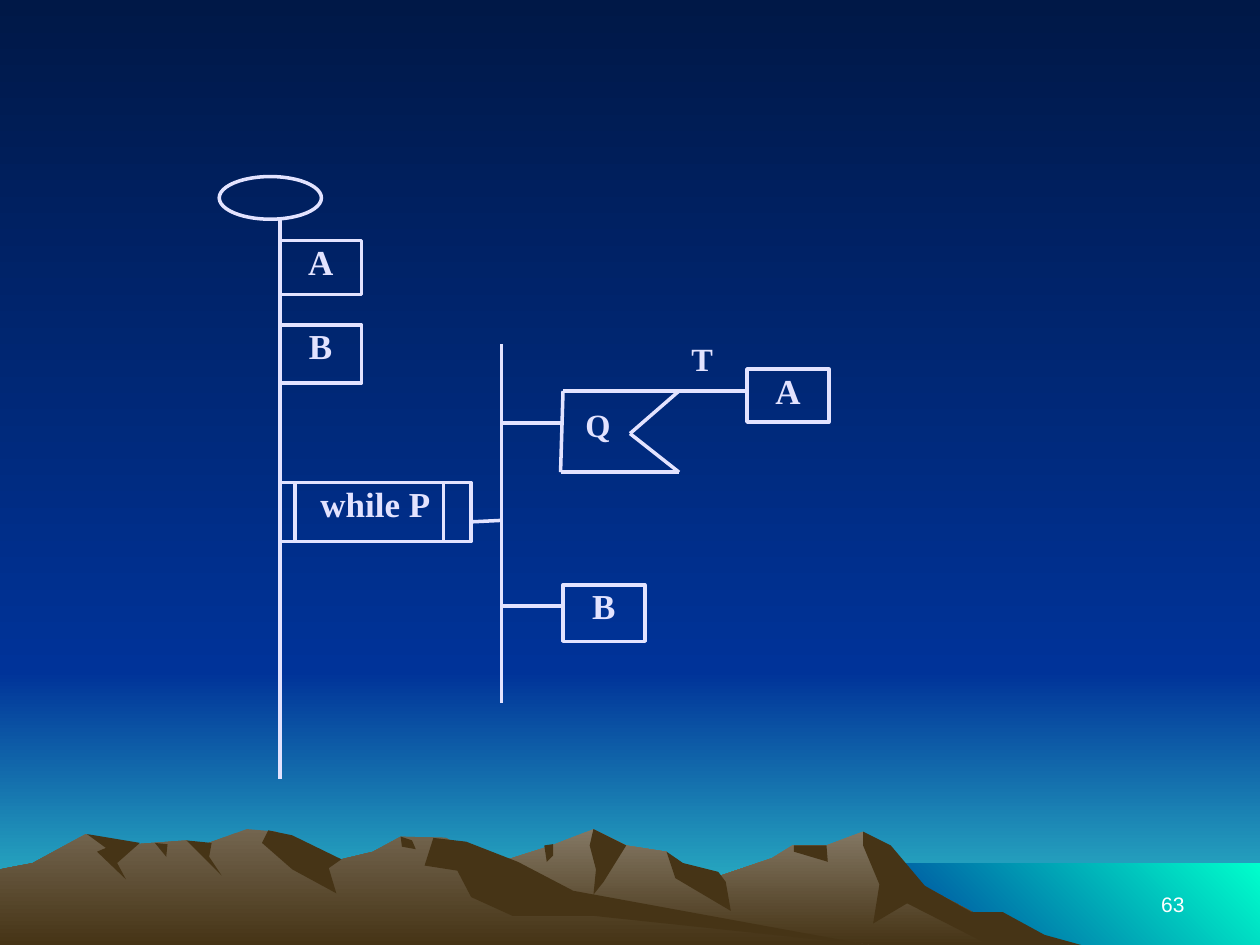
from itertools import pairwise

from lxml import etree
from pptx import Presentation
from pptx.dml.color import RGBColor
from pptx.enum.shapes import MSO_CONNECTOR, MSO_SHAPE
from pptx.enum.text import MSO_ANCHOR, PP_ALIGN
from pptx.oxml.ns import qn
from pptx.util import Cm, Pt

RECT, OVAL = MSO_SHAPE.RECTANGLE, MSO_SHAPE.OVAL
LINE = MSO_CONNECTOR.STRAIGHT
TOP, BASE = MSO_ANCHOR.TOP, MSO_ANCHOR.BOTTOM
MID, RIGHT = PP_ALIGN.CENTER, PP_ALIGN.RIGHT

THEME = {
    "ink": "E3E3FF", "white": "FFFFFF", "shade": "463416",
    "sky": ("001847", "003399"), "haze": ("003399", "33CCCC"),
    "sea": ("003399", "00FFCC"),
    "far": ("847864", "463416"), "near": ("73654F", "463416"),
    "serif": "Times New Roman", "sans": "Arial",
    "big": 20, "mid": 18.5, "small": 12, "line": 2,
}


def paint(fill, color, angle=270):
    """Fill with one colour, or with a gradient when given a pair."""
    if isinstance(color, str):
        fill.solid()
        fill.fore_color.rgb = RGBColor.from_string(color)
        return
    fill.gradient()
    fill.gradient_angle = angle
    for stop, tone in zip(fill.gradient_stops, color):
        stop.color.rgb = RGBColor.from_string(tone)


def write(shape, text, size=THEME["big"], font=THEME["serif"], color=THEME["ink"],
          bold=True, align=MID, anchor=TOP, pad=(0, 0.03), space=1.0):
    frame = shape.text_frame
    frame.word_wrap = True
    frame.vertical_anchor = anchor
    frame.margin_left = frame.margin_right = Cm(0.25)
    frame.margin_top, frame.margin_bottom = Cm(pad[0]), Cm(pad[1])
    par = frame.paragraphs[0]
    par.alignment, par.line_spacing = align, space
    run = par.add_run()
    run.text = text
    run.font.name, run.font.size, run.font.bold = font, Pt(size), bold
    run.font.color.rgb = RGBColor.from_string(color)


WIDTH, HEIGHT, EDGE = 25.4, 19.05, 13.54
prs = Presentation()
prs.slide_width, prs.slide_height = Cm(WIDTH), Cm(HEIGHT)
slide = prs.slides.add_slide(prs.slide_layouts[6])
shapes = slide.shapes
ink = RGBColor.from_string(THEME["ink"])

# Sky, haze and sea
paint(slide.background.fill, THEME["sky"])
for x, y, end, tone, angle in [
    (0, EDGE, HEIGHT, "haze", 270),
    (0, 0, EDGE, "sky", 270),
    (17.35, 17.4, HEIGHT, "sea", 45),
]:
    band = shapes.add_shape(RECT, Cm(x), Cm(y), Cm(WIDTH - x), Cm(end - y))
    band.shadow.inherit = False
    band.line.fill.background()
    paint(band.fill, THEME[tone], angle)

# Mountains, back to front, on a grid of 0.0254 cm
HILLS = [
    ("far", [(258, 750), (394, 685), (438, 671), (471, 658), (497, 671), (529, 676),
             (536, 690), (566, 697), (613, 681), (629, 671), (656, 671), (685, 660),
             (723, 698), (821, 750)]),
    ("shade", [(685, 660), (707, 671), (734, 703), (771, 724), (796, 724), (829, 742),
               (858, 750), (785, 750), (720, 717), (693, 733), (698, 702), (685, 671)]),
    ("shade", [(471, 658), (497, 671), (479, 700), (471, 710), (473, 690), (468, 671)]),
    ("shade", [(529, 676), (542, 685), (570, 692), (576, 700), (580, 723), (536, 697)]),
    ("shade", [(630, 671), (656, 671), (657, 684), (630, 676)]),
    ("shade", [(432, 671), (439, 670), (439, 679), (434, 684)]),
    ("near", [(0, 750), (0, 690), (26, 685), (68, 662), (94, 671), (148, 667),
              (160, 671), (196, 658), (219, 660), (236, 681), (271, 682), (296, 676),
              (318, 664), (354, 665), (432, 712), (690, 750)]),
    ("shade", [(213, 659), (232, 663), (271, 682), (261, 689), (267, 709), (232, 690),
               (208, 669)]),
    ("shade", [(344, 665), (370, 668), (411, 684), (455, 707), (690, 750), (472, 727),
               (407, 727), (374, 712), (363, 691), (337, 687)]),
    ("shade", [(318, 664), (327, 667), (330, 674), (319, 672)]),
    ("shade", [(148, 667), (168, 669), (166, 680), (176, 695)]),
    ("shade", [(123, 669), (133, 670), (132, 680)]),
    ("shade", [(69, 662), (111, 669), (93, 685), (100, 698), (77, 676), (84, 673)]),
]
for tone, points in HILLS:
    path = shapes.build_freeform(*points[0], scale=Cm(0.0254))
    path.add_line_segments(points[1:], close=True)
    hill = path.convert_to_shape()
    hill.shadow.inherit = False
    hill.line.fill.background()
    paint(hill.fill, THEME[tone])

# Start node and step boxes
STEM, BAR, NEXT, LAST = 5.64, 10.11, 11.35, 15.06
WIDE, LOOP, DEEP = 1.65, 9.73, 1.19
for kind, x, y, w, h, text in [
    (OVAL, 4.42, 3.56, 2.06, 0.86, ""),
    (RECT, STEM, 4.85, WIDE, 1.09, "A"),
    (RECT, STEM, 6.55, WIDE, 1.17, "B"),
    (RECT, STEM, LOOP, 3.86, DEEP, "while P"),
    (RECT, NEXT, 11.79, WIDE, 1.14, "B"),
    (RECT, LAST, 7.44, WIDE, 1.07, "A"),
]:
    box = shapes.add_shape(kind, Cm(x), Cm(y), Cm(w), Cm(h))
    box.shadow.inherit = False
    box.fill.background()
    box.line.color.rgb, box.line.width = ink, Pt(THEME["line"])
    if text:
        write(box, text)

# Lines of the chart: stems, loop bars, branches and the notched test box
TEST, FORK, FOOT = 7.88, 13.69, 9.52
runs = [
    [(STEM, 4.42), (STEM, 15.7)],
    [(BAR, 6.93), (BAR, 14.17)],
    [(9.5, 10.52), (BAR, 10.49)],
    [(LAST, TEST), (FORK, TEST), (NEXT, TEST), (11.3, FOOT), (FORK, FOOT),
     (12.7, 8.74), (FORK, TEST)],
]
runs += [[(x, LOOP), (x, LOOP + DEEP)] for x in (5.95, 8.94)]
runs += [[(BAR, y), (NEXT, y)] for y in (8.53, 12.22)]
for run in runs:
    for (x1, y1), (x2, y2) in pairwise(run):
        line = shapes.add_connector(LINE, Cm(x1), Cm(y1), Cm(x2), Cm(y2))
        line.line.color.rgb, line.line.width = ink, Pt(THEME["line"])
        etree.SubElement(line._element.spPr, qn("a:effectLst"))

# Test labels
for x, y, text in [(11.51, 8.26, "Q"), (13.61, 6.93, "T")]:
    tag = shapes.add_textbox(Cm(x), Cm(y), Cm(1.09), Cm(0.86))
    write(tag, text, size=THEME["mid"], space=0.9)

# Page number
page = shapes.add_textbox(Cm(18.21), Cm(17.35), Cm(5.92), Cm(1.27))
write(page, "63", size=THEME["small"], font=THEME["sans"], color=THEME["white"],
      bold=False, align=RIGHT, anchor=BASE, pad=(0.13, 0.13))

prs.save("out.pptx")
